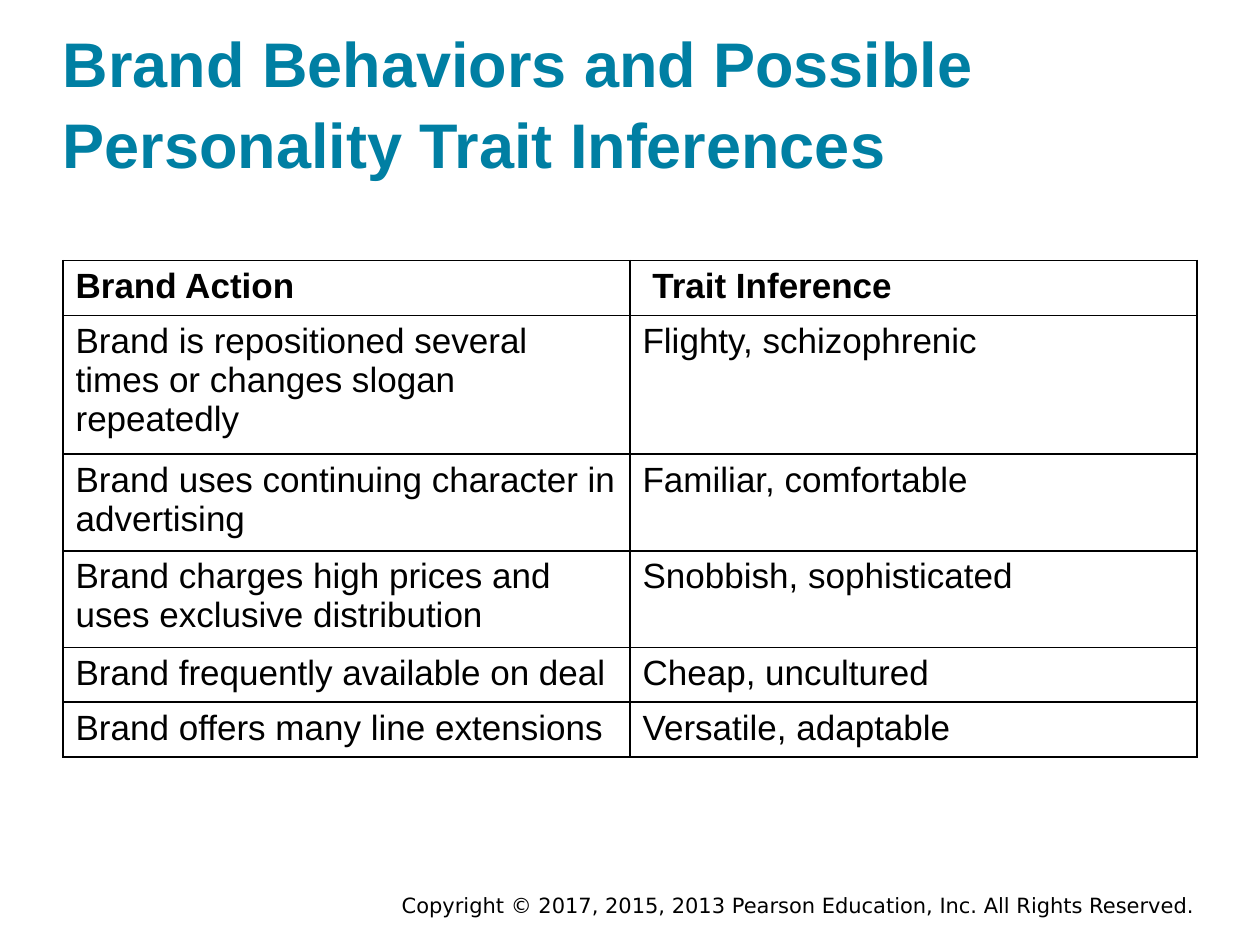
from dataclasses import dataclass

from lxml import etree
from pptx import Presentation
from pptx import util as u
from pptx.dml import color
from pptx.enum import text
from pptx.oxml import ns


@dataclass(frozen=True)
class Theme:
    teal: str = "007FA3"
    black: str = "000000"
    heading_font: str = "Arial"
    footer_font: str = "DejaVu Sans"
    title_size: int = 36
    table_size: int = 20
    footer_size: int = 12
    border_width: int = 1


THEME = Theme()
TITLE = "Brand Behaviors and Possible\vPersonality Trait Inferences"
FOOTER = "Copyright © 2017, 2015, 2013 Pearson Education, Inc. All Rights Reserved."
TRAITS = [
    ("Brand Action", " Trait Inference"),
    ("Brand is repositioned several times or changes slogan repeatedly",
     "Flighty, schizophrenic"),
    ("Brand uses continuing character in advertising", "Familiar, comfortable"),
    ("Brand charges high prices and uses exclusive distribution",
     "Snobbish, sophisticated"),
    ("Brand frequently available on deal", "Cheap, uncultured"),
    ("Brand offers many line extensions", "Versatile, adaptable"),
]


def style_runs(para, font, size, rgb, bold=False):
    for span in para.runs:
        span.font.name = font
        span.font.size = u.Pt(size)
        span.font.bold = bold
        span.font.color.rgb = color.RGBColor.from_string(rgb)


def add_text(page, words, left, top, width, height):
    box = page.shapes.add_textbox(u.Pt(left), u.Pt(top), u.Pt(width), u.Pt(height))
    frame = box.text_frame
    frame.word_wrap = True
    para = frame.paragraphs[0]
    para.text = words
    return frame, para


def add_title(page):
    frame, para = add_text(page, TITLE, 36, 17.3, 648, 86.4)
    frame.vertical_anchor = text.MSO_ANCHOR.BOTTOM
    frame.margin_left = frame.margin_right = 0
    frame.margin_top = frame.margin_bottom = 0
    para.line_spacing = 1.08
    style_runs(para, THEME.heading_font, THEME.title_size, THEME.teal, bold=True)


def add_footer(page):
    _, para = add_text(page, FOOTER, 203.8, 506.2, 486, 21.6)
    para.alignment = text.PP_ALIGN.RIGHT
    style_runs(para, THEME.footer_font, THEME.footer_size, THEME.black)


def set_borders(cell):
    properties = cell._tc.get_or_add_tcPr()
    for place, side in enumerate(("lnL", "lnR", "lnT", "lnB")):
        line = etree.Element(ns.qn(f"a:{side}"), w=str(u.Pt(THEME.border_width)))
        fill = etree.SubElement(line, ns.qn("a:solidFill"))
        etree.SubElement(fill, ns.qn("a:srgbClr"), val=THEME.black)
        properties.insert(place, line)


def add_trait_table(page):
    row_height = 29.5
    table = page.shapes.add_table(
        len(TRAITS), 2, u.Pt(36), u.Pt(149), u.Pt(648), u.Pt(row_height * len(TRAITS))
    ).table
    table.first_row = table.horz_banding = False
    for row, entries in enumerate(TRAITS):
        for column, words in enumerate(entries):
            cell = table.cell(row, column)
            cell.fill.background()
            set_borders(cell)
            para = cell.text_frame.paragraphs[0]
            para.text = words
            style_runs(para, THEME.heading_font, THEME.table_size, THEME.black,
                       bold=row == 0)


def main():
    deck = Presentation()
    deck.slide_width, deck.slide_height = u.Pt(720), u.Pt(540)
    page = deck.slides.add_slide(deck.slide_layouts[6])

    # Copyright line, heading and table
    add_footer(page)
    add_title(page)
    add_trait_table(page)

    deck.save("out.pptx")


if __name__ == "__main__":
    main()
